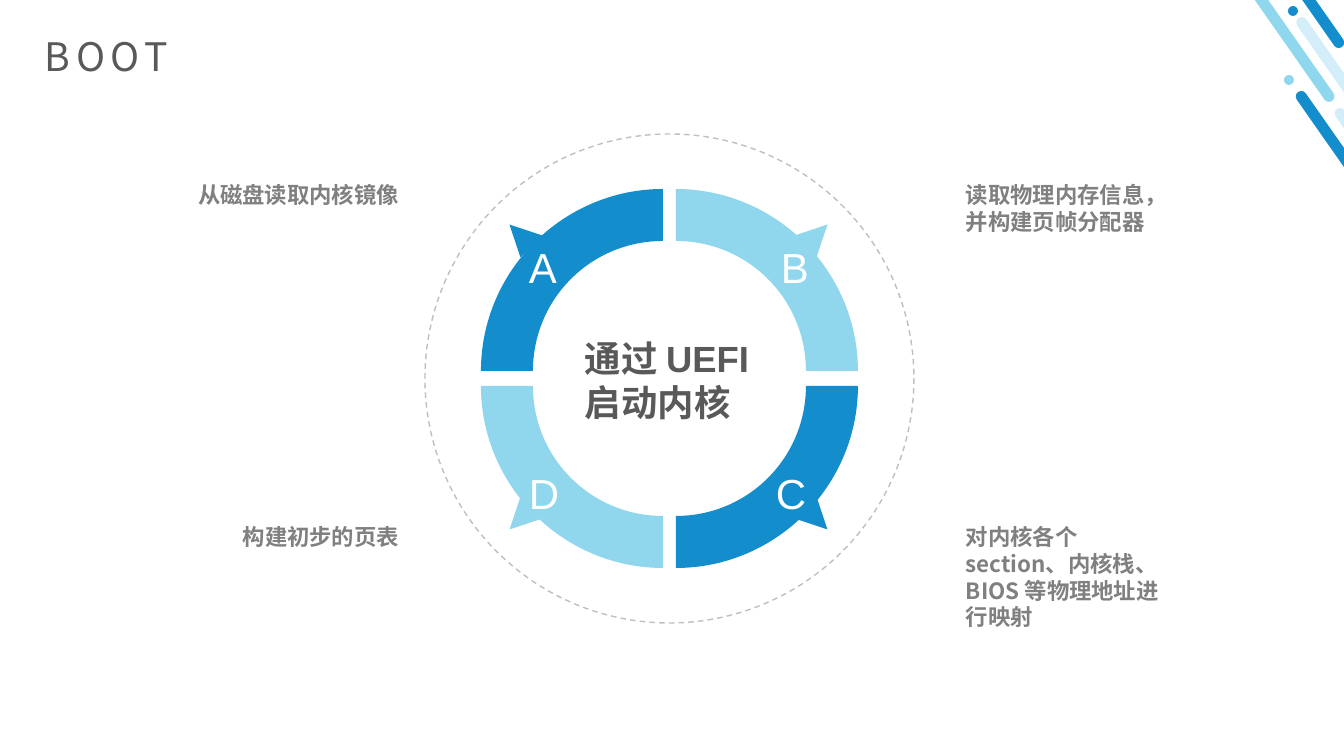
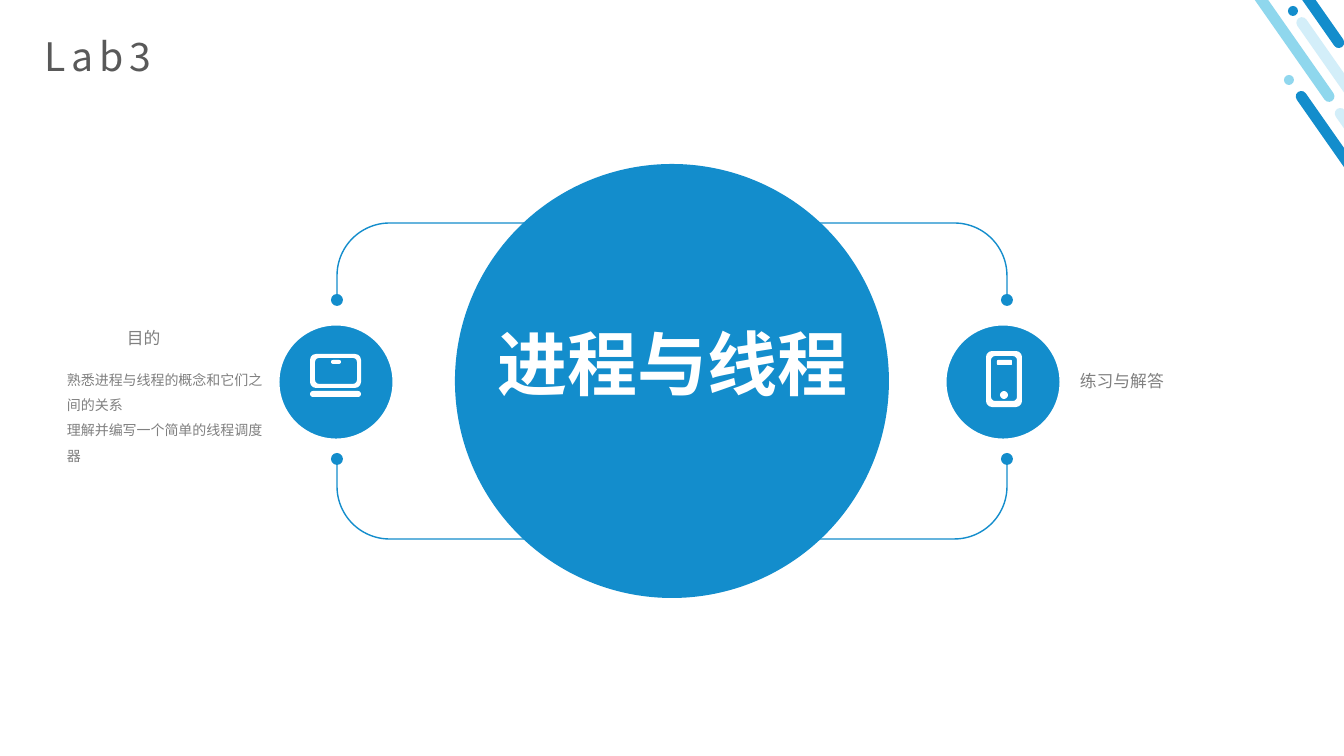
"""Build the BOOT ring slide and the Lab3 process and thread slide."""
from math import cos, radians, sin

from pptx import Presentation
from pptx.dml.color import RGBColor
from pptx.enum.dml import MSO_LINE
from pptx.enum.shapes import MSO_SHAPE as SHAPE
from pptx.enum.text import MSO_AUTO_SIZE as AUTO, PP_ALIGN as ALIGN
from pptx.oxml.ns import qn
from pptx.util import Pt

PX = 12192000 / 1344
COLORS = {
    "blue": "138DCC", "sky": "90D7EE", "aqua": "8FD7ED", "pale": "D3EEF9", "white": "FFFFFF",
    "heading": "595959", "body": "808080", "dash": "BFBFBF",
}
RGB = {key: RGBColor.from_string(value) for key, value in COLORS.items()}
CJK = "Noto Sans CJK SC"
STYLES = {
    "title": ({"name": CJK, "size": Pt(28)}, "heading"),
    "letter": ({"name": "Arial", "size": Pt(30)}, "white"),
    "center": ({"name": "Arial", "size": Pt(26), "bold": True}, "heading"),
    "step": ({"name": CJK, "size": Pt(16), "bold": True}, "body"),
    "topic": ({"name": CJK, "size": Pt(50), "bold": True}, "white"),
    "caption": ({"name": CJK, "size": Pt(12)}, "body"),
    "detail": ({"name": CJK, "size": Pt(10)}, "body"),
}


def paint(figure, fill=None, line=None, width=1):
    figure.shadow.inherit = False
    if fill:
        figure.fill.solid()
        figure.fill.fore_color.rgb = RGB[fill]
    else:
        figure.fill.background()
    if line:
        figure.line.color.rgb = RGB[line]
        figure.line.width = Pt(width)
    else:
        figure.line.fill.background()
    return figure


def add_text(slide, box, lines, style, align=ALIGN.LEFT, wrap=True, grow=True, leading=None, tracking=None):
    frame = slide.shapes.add_textbox(*[round(v * PX) for v in box]).text_frame
    frame.word_wrap = wrap
    frame.auto_size = AUTO.SHAPE_TO_FIT_TEXT if grow else AUTO.NONE
    formats, color = STYLES[style]
    for index, line in enumerate(lines):
        paragraph = frame.add_paragraph() if index else frame.paragraphs[0]
        paragraph.alignment = align
        paragraph.line_spacing = leading
        run = paragraph.add_run()
        run.text = line
        for name, value in formats.items():
            setattr(run.font, name, value)
        run.font.color.rgb = RGB[color]
        properties = run.font._element
        east_asian = properties.makeelement(qn("a:ea"), {"typeface": CJK})
        properties.find(qn("a:latin")).addnext(east_asian)
        if tracking:
            properties.set("spc", str(tracking))


prs = Presentation()
prs.slide_width = round(1344 * PX)
prs.slide_height = round(756 * PX)
boot, lab = [prs.slides.add_slide(prs.slide_layouts[6]) for _ in range(2)]

OVAL, PILL = SHAPE.OVAL, SHAPE.ROUNDED_RECTANGLE
DECOR = [
    (PILL, (1356, 72, 11, 221), "blue"), (OVAL, (1284, 75, 10, 10), "sky"),
    (PILL, (1395, 89, 11, 221), "pale"), (PILL, (1247, -152, 11, 278), "aqua"),
    (PILL, (1373, -7, 11, 278), "pale"), (PILL, (1273, -154, 11, 221), "blue"),
    (OVAL, (1288, 6, 10, 10), "blue"),
]
for slide, title in ((boot, "BOOT"), (lab, "Lab3")):
    for kind, box, color in DECOR:
        mark = paint(slide.shapes.add_shape(kind, *[round(v * PX) for v in box]), color)
        if kind == PILL:
            mark.adjustments[0] = 0.5
            mark.rotation = 325
    add_text(slide, (35, 27, 1312, 57), [title], "title", tracking=400)

OUTER, INNER, BEND = 182, 130, 0.55
QUADRANTS = [
    (1, -1, "sky", 45), (-1, -1, "blue", 315), (1, 1, "blue", 135), (-1, 1, "sky", 225),
]
for side, level, color, heading in QUADRANTS:
    x = 676 if side > 0 else 663
    y = 386 if level > 0 else 371
    builder = boot.shapes.build_freeform(x, y + level * OUTER, scale=PX)
    builder.add_line_segments([(x + side * OUTER, y), (x + side * INNER, y), (x, y + level * INNER)])
    segment = paint(builder.convert_to_shape(), color)
    points = list(segment._element.iter(qn("a:pt")))
    corners = [(int(point.get("x")), int(point.get("y"))) for point in points]
    for end, first, last in ((1, (BEND, 0), (1, 1 - BEND)), (3, (0, BEND), (1 - BEND, 1))):
        (x0, y0), (x1, y1) = corners[end - 1], corners[end]
        straight = points[end].getparent()
        curve = straight.makeelement(qn("a:cubicBezTo"), {})
        for across, down in (first, last, (1, 1)):
            place = {"x": str(round(x0 + across * (x1 - x0))), "y": str(round(y0 + down * (y1 - y0)))}
            curve.append(curve.makeelement(qn("a:pt"), place))
        straight.getparent().replace(straight, curve)

for side, level, color, heading in QUADRANTS:
    box = (801 if side > 0 else 505, 503 if level > 0 else 220, 31, 31)
    pointer = boot.shapes.add_shape(SHAPE.ISOSCELES_TRIANGLE, *[round(v * PX) for v in box])
    paint(pointer, color).rotation = heading

orbit = boot.shapes.add_shape(OVAL, *[round(v * PX) for v in (425, 134, 489, 489)])
paint(orbit, line="dash").line.dash_style = MSO_LINE.DASH

for letter, x, y, width in (("A", 519, 237, 48), ("B", 771, 237, 48), ("C", 766, 463, 50), ("D", 519, 463, 50)):
    add_text(boot, (x, y, width, 60), [letter], "letter", wrap=False)
add_text(boot, (575, 331, 197, 98), ["通过 UEFI", "启动内核"], "center", wrap=False)

STEPS = [
    (179, 176, 37, "从磁盘读取内核镜像", ALIGN.RIGHT),
    (179, 518, 37, "构建初步的页表", ALIGN.RIGHT),
    (956, 176, 64, "读取物理内存信息，并构建页帧分配器", ALIGN.LEFT),
    (956, 518, 91, "对内核各个 section、内核栈、BIOS 等物理地址进行映射", ALIGN.LEFT),
]
for x, y, height, step, align in STEPS:
    add_text(boot, (x, y, 230, height), [step], "step", align)

HUB = [
    (OVAL, (455, 164, 434, 434), "blue", None, 1),
    (PILL, (337, 223, 670, 316), None, "blue", 1),
    (OVAL, (269, 315, 134, 134), "blue", "white", 15),
    (OVAL, (936, 315, 134, 134), "blue", "white", 15),
]
HUB += [(OVAL, (x, y, 12, 12), "blue", None, 1) for x in (331, 1001) for y in (294, 453)]
for kind, box, fill, line, width in HUB:
    paint(lab.shapes.add_shape(kind, *[round(v * PX) for v in box]), fill, line, width)

GOALS = ["熟悉进程与线程的概念和它们之间的关系", "理解并编写一个简单的线程调度器"]
add_text(lab, (57, 358, 226, 78), GOALS, "detail", grow=False, leading=1.5)
add_text(lab, (117, 323, 158, 30), ["目的"], "caption")
add_text(lab, (1070, 366, 158, 30), ["练习与解答"], "caption")
add_text(lab, (480, 316, 385, 95), ["进程与线程"], "topic", ALIGN.CENTER)

LAPTOP = [(310, 391, 51, 6, 3), (310, 354, 51, 34, 6), (315, 358, 42, 26, 4), (331, 360, 10, 4, 2)]
PHONE = [(1000, 391, 8, 8, 4), (986, 351, 36, 56, 6), (991, 356, 26, 45, 4), (997, 360, 15, 5, 1)]
for icon in (LAPTOP, PHONE):
    builder = None
    for x, y, width, height, radius in icon:
        outline = []
        for turn in range(4):
            center_x = x + (width - radius if turn in (0, 3) else radius)
            center_y = y + (height - radius if turn in (0, 1) else radius)
            for angle in range(turn * 90, turn * 90 + 91, 30):
                outline.append((
                    (center_x + radius * cos(radians(angle))) * PX,
                    (center_y + radius * sin(radians(angle))) * PX,
                ))
        if builder is None:
            builder = lab.shapes.build_freeform(*outline[0], scale=1.0)
        else:
            builder.move_to(*outline[0])
        builder.add_line_segments(outline[1:], close=True)
    paint(builder.convert_to_shape(), "white")

prs.save("out.pptx")
